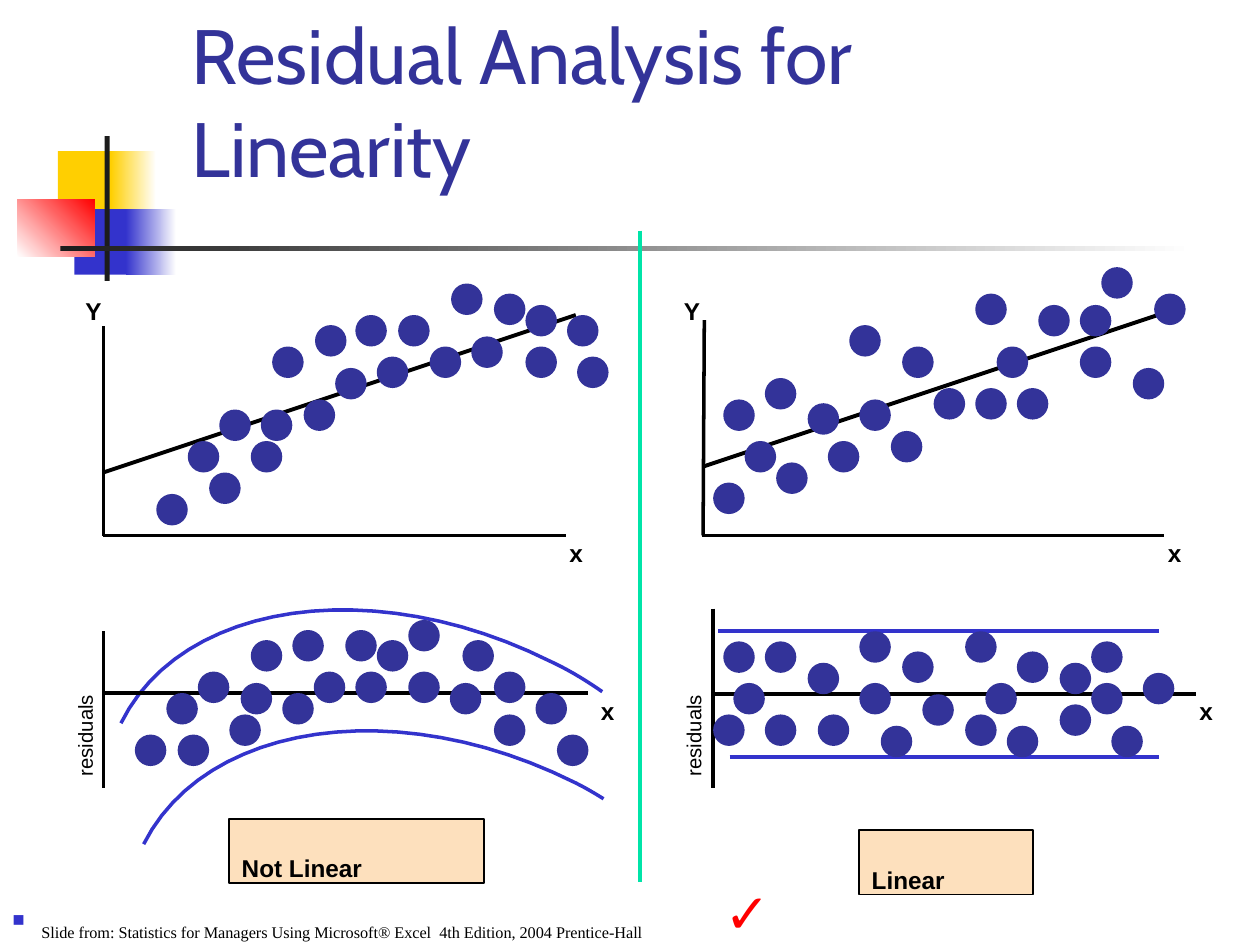
from lxml.etree import SubElement
from pptx import Presentation
from pptx.dml.color import RGBColor
from pptx.enum.shapes import MSO_CONNECTOR, MSO_SHAPE
from pptx.enum.text import MSO_ANCHOR, MSO_AUTO_SIZE, PP_ALIGN
from pptx.oxml.ns import qn
from pptx.util import Inches, Pt

BLACK = RGBColor(0x00, 0x00, 0x00)
WHITE = RGBColor(0xFF, 0xFF, 0xFF)
CHARCOAL = RGBColor(0x1C, 0x1C, 0x1C)
YELLOW = RGBColor(0xFF, 0xCF, 0x01)
RED = RGBColor(0xFF, 0x00, 0x00)
BLUE = RGBColor(0x33, 0x33, 0xCC)
INDIGO = RGBColor(0x33, 0x33, 0x99)
GREEN = RGBColor(0x00, 0xE4, 0xA8)
PEACH = RGBColor(0xFD, 0xE0, 0xBD)

# The page is a grid of one-inch columns and rows
COLUMNS, ROWS = 10, 7.5
DOT = 0.25

# Left and top of every dot, by plot
CURVED_DATA = [
    (1.24, 3.92), (1.66, 3.75), (3.16, 2.5), (3.41, 2.75), (3.92, 2.33), (1.99, 3.5),
    (3.74, 2.67), (4.17, 2.75), (4.17, 2.42), (4.5, 2.5), (3.58, 2.25), (2.66, 2.92),
    (2.82, 2.5), (2.5, 2.58), (1.49, 3.5), (1.74, 3.25), (2.07, 3.25), (2.99, 2.83),
    (2.16, 2.75), (4.58, 2.83), (2.41, 3.17)]
CURVED_RESIDUALS = [
    (1.07, 5.83), (1.41, 5.83), (2.99, 5.08), (3.24, 4.92), (3.57, 5.42), (1.82, 5.67),
    (3.67, 5.08), (3.92, 5.67), (3.92, 5.33), (4.25, 5.5), (3.24, 5.33), (2.49, 5.33),
    (2.74, 5), (2.32, 5), (1.32, 5.5), (1.57, 5.33), (1.91, 5.42), (2.82, 5.33),
    (1.99, 5.08), (4.42, 5.83), (2.24, 5.5)]
LINEAR_DATA = [
    (5.66, 3.83), (5.91, 3.5), (7.74, 2.33), (7.91, 2.75), (8.57, 2.42), (6.16, 3.67),
    (8.07, 3.08), (8.57, 2.75), (8.74, 2.12), (8.24, 2.42), (7.07, 3.42), (7.16, 2.75),
    (6.74, 2.58), (5.74, 3.17), (6.07, 3), (6.41, 3.2), (7.41, 3.08), (6.82, 3.17),
    (8.99, 2.92), (6.57, 3.5), (9.16, 2.33), (7.74, 3.08)]
LINEAR_RESIDUALS = [
    (6.41, 5.26), (6.07, 5.09), (5.66, 5.67), (5.82, 5.42), (5.74, 5.09), (6.82, 5.42),
    (6.82, 5.01), (6.07, 5.67), (7.66, 5.01), (7.16, 5.17), (6.99, 5.76), (6.49, 5.67),
    (8.41, 5.26), (7.66, 5.67), (7.32, 5.51), (8.41, 5.59), (7.82, 5.42), (7.99, 5.76),
    (8.07, 5.17), (8.82, 5.76), (8.66, 5.09), (9.07, 5.34), (8.66, 5.42)]

# Cubic curves that bound the residuals on the left: start, then segments
UPPER_BOUND = ((0.96, 5.74), [((1.44, 4.77), (2.97, 4.55), (4.37, 5.25)),
                              ((4.52, 5.32), (4.65, 5.4), (4.78, 5.49))])
LOWER_BOUND = ((1.14, 6.7), [((1.63, 5.73), (3.16, 5.51), (4.56, 6.21)),
                             ((4.64, 6.25), (4.71, 6.29), (4.79, 6.34))])


def grid(*lengths):
    return [Inches(length) for length in lengths]


def add_block(page, kind, place, color, fade=None, angle=0):
    """Shape without outline, in one colour or fading to a second."""
    block = page.shapes.add_shape(kind, *grid(*place))
    block.shadow.inherit = False
    block.line.fill.background()
    if fade is None:
        block.fill.solid()
        block.fill.fore_color.rgb = color
        return
    block.fill.gradient()
    block.fill.gradient_angle = angle
    for stop, position, shade in zip(block.fill.gradient_stops, (0, 1), (color, fade)):
        stop.position = position
        stop.color.rgb = shade


def add_dots(page, places):
    for left, top in places:
        add_block(page, MSO_SHAPE.OVAL, (left, top, DOT, DOT), INDIGO)


def add_line(page, start, end, color=BLACK, width=2):
    line = page.shapes.add_connector(MSO_CONNECTOR.STRAIGHT, *grid(*start, *end))
    line.line.color.rgb = color
    line.line.width = Pt(width)
    SubElement(line._element.spPr, qn("a:effectLst"))


def add_curve(page, start, segments, steps=24):
    points = [start]
    for segment in segments:
        knots = (points[-1], *segment)
        for step in range(1, steps + 1):
            t = step / steps
            weights = ((1 - t) ** 3, 3 * t * (1 - t) ** 2, 3 * t * t * (1 - t), t ** 3)
            points.append(tuple(sum(w * knot[axis] for w, knot in zip(weights, knots))
                                for axis in (0, 1)))
    first, *others = [grid(*point) for point in points]
    builder = page.shapes.build_freeform(*first)
    builder.add_line_segments(others, close=False)
    curve = builder.convert_to_shape()
    curve.shadow.inherit = False
    curve.fill.background()
    curve.line.color.rgb = BLUE
    curve.line.width = Pt(2)


def add_text(page, place, text, size=24, bold=True, color=BLACK, font="Arial",
             rotation=0, bullet=False):
    """Text box whose letters are lowered like a subscript."""
    box = page.shapes.add_textbox(*grid(*place))
    box.rotation = rotation
    frame = box.text_frame
    frame.word_wrap = True
    frame.auto_size = MSO_AUTO_SIZE.SHAPE_TO_FIT_TEXT
    para = frame.paragraphs[0]
    span = para.add_run()
    span.text = text
    span._r.get_or_add_rPr().set("baseline", "-25000")
    if bullet:
        add_bullet(para)
    para.font.name = font
    para.font.size = Pt(size)
    para.font.bold = bold
    para.font.color.rgb = color
    return box


def add_bullet(para):
    settings = para._p.get_or_add_pPr()
    settings.set("marL", str(Inches(0.23)))
    settings.set("indent", str(-Inches(0.23)))
    SubElement(SubElement(settings, qn("a:buClr")), qn("a:srgbClr")).set("val", str(BLUE))
    SubElement(settings, qn("a:buSzPct")).set("val", "60000")
    SubElement(settings, qn("a:buChar")).set("char", "■")


def add_verdict(page, place, text):
    box = add_text(page, place, text)
    box.fill.solid()
    box.fill.fore_color.rgb = PEACH
    box.line.color.rgb = BLACK
    box.line.width = Pt(1)


def add_decoration(page):
    square = MSO_SHAPE.RECTANGLE
    add_block(page, square, (0.46, 1.2, 0.48, 0.52), YELLOW)
    add_block(page, square, (0.88, 1.2, 0.36, 0.52), YELLOW, WHITE)
    add_block(page, square, (0.59, 1.66, 0.46, 0.52), BLUE)
    add_block(page, square, (1, 1.66, 0.4, 0.52), BLUE, WHITE)
    add_block(page, square, (0.14, 1.58, 0.61, 0.46), WHITE, RED, 45)
    add_block(page, square, (0.83, 1.08, 0.04, 1.15), CHARCOAL)
    add_block(page, square, (0.48, 1.95, 9, 0.04), CHARCOAL, WHITE)


def set_title(page, text):
    title = page.shapes.title
    title.left, title.top, title.width, title.height = grid(1.42, 0.5, 7.74, 1.08)
    frame = title.text_frame
    frame.text = text
    frame.word_wrap = True
    frame.auto_size = MSO_AUTO_SIZE.NONE
    frame.vertical_anchor = MSO_ANCHOR.BOTTOM
    para = frame.paragraphs[0]
    para.alignment = PP_ALIGN.LEFT
    para.font.name = "Cabin"
    para.font.size = Pt(44)
    para.font.color.rgb = INDIGO


def add_plot(page, lines, dots, labels):
    for line in lines:
        add_line(page, *line)
    add_dots(page, dots)
    for text, left, top in labels:
        add_text(page, (left, top, 0.43, 0.5), text)


def main():
    deck = Presentation()
    deck.slide_width, deck.slide_height = grid(COLUMNS, ROWS)
    page = deck.slides.add_slide(deck.slide_layouts[5])
    add_decoration(page)
    set_title(page, "Residual Analysis for Linearity")

    # Verdicts
    add_verdict(page, (1.82, 6.5, 2.02, 0.51), "Not Linear")
    add_verdict(page, (6.82, 6.59, 1.38, 0.51), "Linear")
    add_text(page, (5.65, 6.42, 1.43, 1), "✓", 54, False, RED)

    # Residual plots
    add_curve(page, *UPPER_BOUND)
    add_curve(page, *LOWER_BOUND)
    add_plot(page, [((0.82, 5.01), (0.82, 6.25)), ((0.82, 5.5), (4.67, 5.5))],
             CURVED_RESIDUALS, [("x", 4.67, 5.25)])
    add_plot(page, [((5.66, 5.51), (9.49, 5.51)), ((5.66, 4.83), (5.66, 6.25)),
                    ((5.7, 5.01), (9.2, 5.01), BLUE), ((5.79, 6.01), (9.2, 6.01), BLUE)],
             LINEAR_RESIDUALS, [("x", 9.42, 5.25)])
    for left in (-0.16, 4.67):
        add_text(page, (left, 5.33, 1.43, 0.43), "residuals", 20, False, rotation=270)

    # Data plots with their fitted lines
    add_plot(page, [((0.82, 2.59), (0.82, 4.25)), ((0.82, 4.25), (4.49, 4.25)),
                    ((0.82, 3.75), (4.57, 2.5), BLACK, 2.25)],
             CURVED_DATA, [("Y", 0.58, 2.08), ("x", 4.42, 4)])
    add_plot(page, [((5.59, 2.54), (5.58, 4.25)), ((5.57, 4.25), (9.24, 4.25)),
                    ((5.59, 3.7), (9.34, 2.45), BLACK, 2.25)],
             LINEAR_DATA, [("Y", 5.33, 2.08), ("x", 9.17, 4)])

    # Divider and credit
    add_line(page, (5.08, 1.83), (5.08, 7), GREEN, 2.25)
    add_text(page, (0, 7.12, 8.59, 0.37),
             "Slide from: Statistics for Managers Using Microsoft® Excel  4th Edition, "
             "2004 Prentice-Hall", 16, False, font="Times New Roman", bullet=True)
    deck.save("out.pptx")


if __name__ == "__main__":
    main()
